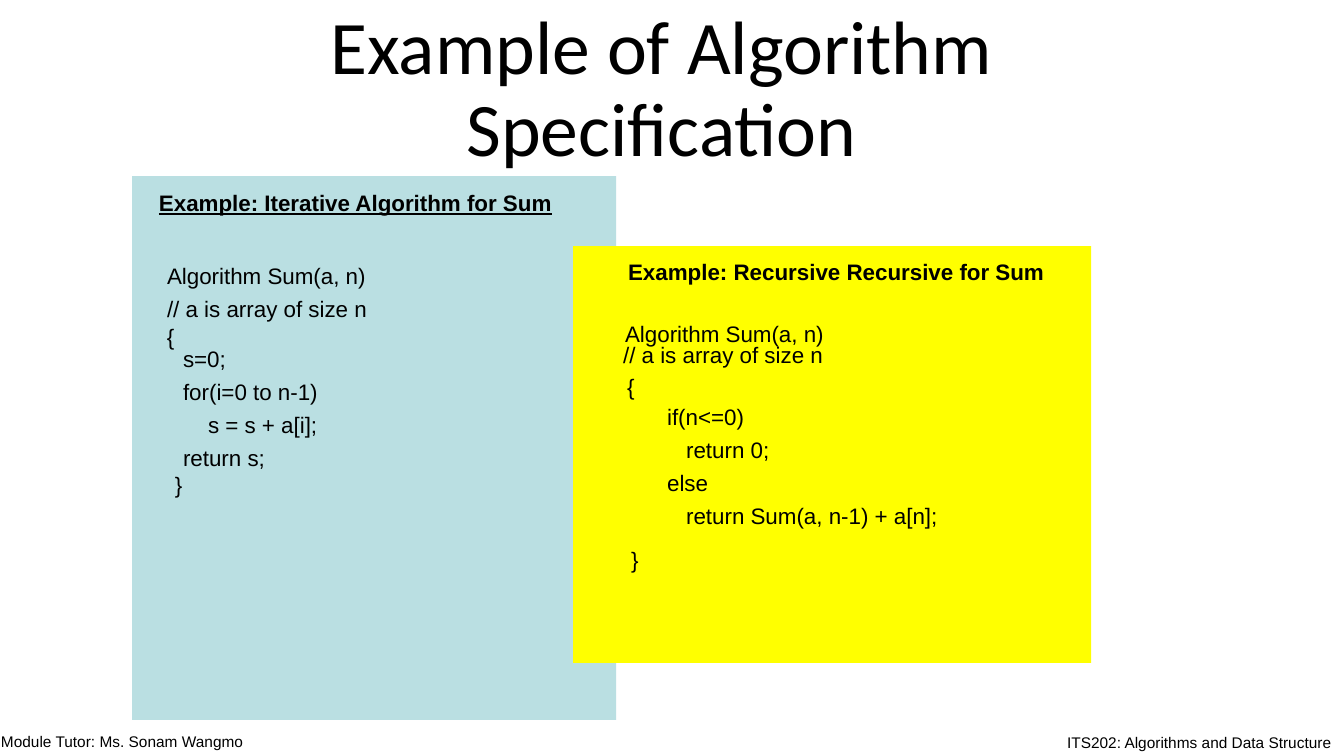
from pptx import Presentation
from pptx import util as u
from pptx.dml.color import RGBColor
from pptx.enum import shapes, text

PX = 9071
COLORS = {"ink": "000000", "iterative": "BADFE2", "recursive": "FFFF00"}

deck = Presentation()
deck.slide_width, deck.slide_height = u.Inches(13.33), u.Inches(7.5)
slide = deck.slides.add_slide(deck.slide_layouts[0])
slide.placeholders[1].element.getparent().remove(slide.placeholders[1].element)


def style(paragraph, size, font="Arial", bold=None, underline=None):
    for run in paragraph.runs:
        run.font.size, run.font.name = u.Pt(size), font
        run.font.bold, run.font.underline = bold, underline
        run.font.color.rgb = RGBColor.from_string(COLORS["ink"])


def add_lines(box, inset, lines, gap=0, bold=None, underline=None):
    frame = slide.shapes.add_textbox(*(v * PX for v in box)).text_frame
    frame.word_wrap = True
    frame.margin_left = frame.margin_right = frame.margin_bottom = 0
    frame.margin_top = inset * PX
    frame.text = "\n".join(line for line, _ in lines)
    for number, (paragraph, (_, indent)) in enumerate(zip(frame.paragraphs, lines)):
        properties = paragraph._p.get_or_add_pPr()
        properties.set("marL", str(indent * PX))
        properties.set("indent", "0")
        if number:
            paragraph.space_before = u.Pt(gap)
        style(paragraph, 16, bold=bold, underline=underline)


footers = [
    ("Module Tutor: Ms. Sonam Wangmo", (-9, 727, 265, 29)),
    ("ITS202: Algorithms and Data Structure", (1057, 728, 287, 29)),
]
for words, box in footers:
    footer = slide.shapes.add_textbox(*(v * PX for v in box)).text_frame
    footer.word_wrap = False
    footer.text = words
    style(footer.paragraphs[0], 11)

title = slide.shapes.title
title.left, title.top, title.width, title.height = (v * PX for v in (149, 20, 1025, 158))
title.text_frame.text = "Example of Algorithm Specification"
title.text_frame.vertical_anchor = text.MSO_ANCHOR.BOTTOM
heading = title.text_frame.paragraphs[0]
heading.alignment = text.PP_ALIGN.CENTER
heading.line_spacing = 0.9
style(heading, 54, "Calibri")

panels = [
    ("iterative", (132, 176, 484, 544),
     ("Example: Iterative Algorithm for Sum", (158, 188, 404, 29), True),
     [((166, 255, 208, 68), 7, [("Algorithm Sum(a, n)", 1), ("// a is array of size n", 1)]),
      ((182, 338, 138, 132), 7, [("s=0;", 1), ("for(i=0 to n-1)", 1),
                                 ("s = s + a[i];", 26), ("return s;", 1)]),
      ((166, 322, 10, 29), 1, [("{", 1)]),
      ((174, 470, 10, 28), 1, [("}", 1)])]),
    ("recursive", (573, 246, 518, 417),
     ("Example: Recursive Recursive for Sum", (627, 257, 426, 29), None),
     [((666, 402, 280, 132), 1, [("if(n<=0)", 1), ("return 0;", 20), ("else", 1),
                                 ("return Sum(a, n-1) + a[n];", 20)]),
      ((624, 319, 208, 29), 1, [("Algorithm Sum(a, n)", 1)]),
      ((622, 340, 204, 29), 1, [("// a is array of size n", 1)]),
      ((626, 372, 10, 28), 1, [("{", 1)]),
      ((630, 545, 10, 28), 1, [("}", 1)])]),
]
for color, area, (caption, caption_box, underline), code in panels:
    panel = slide.shapes.add_shape(shapes.MSO_SHAPE.RECTANGLE, *(v * PX for v in area))
    panel.shadow.inherit = False
    panel.fill.solid()
    panel.fill.fore_color.rgb = RGBColor.from_string(COLORS[color])
    panel.line.fill.background()
    add_lines(caption_box, 1, [(caption, 1)], bold=True, underline=underline)
    for box, inset, lines in code:
        add_lines(box, inset, lines, gap=4.5)

deck.save("out.pptx")
